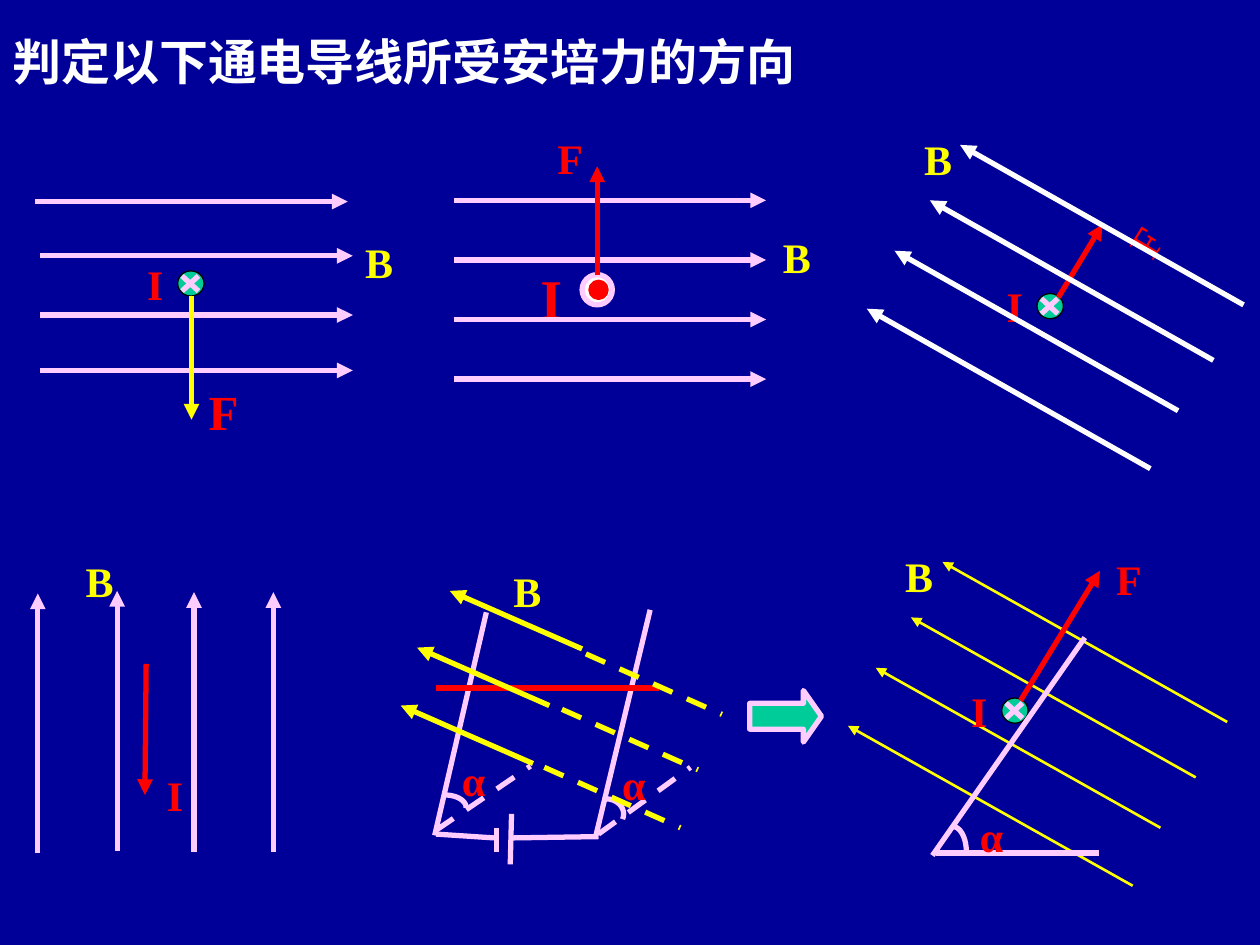
from dataclasses import dataclass
from math import cos, radians, sin

from lxml.etree import SubElement
from pptx import Presentation
from pptx.dml.color import RGBColor as RGB
from pptx.enum.dml import MSO_LINE
from pptx.enum.shapes import MSO_CONNECTOR, MSO_SHAPE as SHAPE
from pptx.enum.text import MSO_AUTO_SIZE as AUTO, PP_ALIGN as ALIGN
from pptx.oxml.ns import qn
from pptx.util import Cm, Pt


@dataclass(frozen=True)
class Theme:
    navy: str = "000099"
    white: str = "FFFFFF"
    black: str = "000000"
    pink: str = "FFCCFF"
    red: str = "FF0000"
    yellow: str = "FFFF00"
    green: str = "00CC99"
    font: str = "Times New Roman"
    label: int = 24
    large: int = 28
    huge: int = 32
    bold_line: float = 3
    fine_line: float = 1.5
    hairline: float = 0.75


THEME = Theme()
MODULE = 2.54  # the drawing grid, in centimetres


def grid(units):
    return Cm(units * MODULE)


def apply(target, values):
    for name, value in values.items():
        setattr(target, name, value)


class Diagram:
    def __init__(self, slide, theme):
        self.slide = slide
        self.shapes = slide.shapes
        self.theme = theme
        background = slide.background.fill
        background.solid()
        background.fore_color.rgb = RGB.from_string(theme.navy)

    def stroke(self, item, color, width):
        item.line.color.rgb = RGB.from_string(color)
        item.line.width = Pt(width)

    def line(self, start, end, color=None, width=None, arrow=False, dashed=False):
        ends = [grid(value) for value in (*start, *end)]
        rule = self.shapes.add_connector(MSO_CONNECTOR.STRAIGHT, *ends)
        self.stroke(rule, color or self.theme.pink, width or self.theme.bold_line)
        if dashed:
            rule.line.dash_style = MSO_LINE.DASH
        properties = rule._element.spPr
        if arrow:
            SubElement(properties.find(qn("a:ln")), qn("a:tailEnd"), type="triangle")
        SubElement(properties, qn("a:effectLst"))

    def field(self, tips, run, color, width=None):
        """Draw parallel arrows that cover the same run and end at the tips."""
        for x, y in tips:
            self.line((x - run[0], y - run[1]), (x, y), color, width, arrow=True)

    def solid(self, kind, box, fill, outline, width):
        shape = self.shapes.add_shape(kind, *map(grid, box))
        shape.shadow.inherit = False
        shape.fill.solid()
        shape.fill.fore_color.rgb = RGB.from_string(fill)
        self.stroke(shape, outline, width)
        return shape

    def text(self, words, box, color, size=None, align=ALIGN.CENTER, rotation=0):
        holder = self.shapes.add_textbox(*map(grid, box))
        holder.rotation = rotation
        apply(holder.text_frame, {"word_wrap": True, "auto_size": AUTO.SHAPE_TO_FIT_TEXT})
        paragraph = holder.text_frame.paragraphs[0]
        paragraph.alignment = align
        run = paragraph.add_run()
        run.text = words
        apply(run.font, {"name": self.theme.font, "bold": True,
                         "size": Pt(size or self.theme.label)})
        run.font.color.rgb = RGB.from_string(color)

    def inward_current(self, x, y):
        """Draw a wire whose current enters the page, centred at x, y."""
        theme = self.theme
        self.solid(SHAPE.OVAL, (x - 0.1, y - 0.1, 0.21, 0.2),
                   theme.green, theme.black, theme.hairline)
        for side in (1, -1):
            self.line((x + 0.065 * side, y - 0.06), (x - 0.065 * side, y + 0.06))
        self.text("I", (x - 0.44, y - 0.25, 0.51, 0.5), theme.red, align=ALIGN.LEFT)

    def angle_arc(self, center, radii, sweep=90):
        """Draw an arc that runs clockwise from the top of an ellipse."""
        turns = [radians(sweep * step / 16) for step in range(17)]
        points = [(grid(center[0] + radii[0] * sin(turn)),
                   grid(center[1] - radii[1] * cos(turn))) for turn in turns]
        builder = self.shapes.build_freeform(*points[0])
        builder.add_line_segments(points[1:], close=False)
        arc = builder.convert_to_shape()
        arc.shadow.inherit = False
        arc.fill.background()
        self.stroke(arc, self.theme.pink, self.theme.bold_line)


def draw_downward_force(d, t):
    d.inward_current(1.51, 2.25)
    d.field([(2.76, 1.6), (2.8, 2.03), (2.8, 2.5), (2.8, 2.94)], (2.48, 0), t.pink)
    d.text("B", (2.8, 1.83, 0.59, 0.5), t.yellow, align=ALIGN.LEFT)
    d.line((1.52, 2.35), (1.52, 3.33), t.yellow, arrow=True)
    d.text("F", (1.44, 2.98, 0.67, 0.57), t.red, t.large)


def draw_upward_force(d, t):
    d.solid(SHAPE.OVAL, (4.62, 2.18, 0.24, 0.24), t.white, t.pink, t.bold_line)
    d.solid(SHAPE.OVAL, (4.69, 2.24, 0.12, 0.12), t.red, t.red, t.bold_line)
    d.text("I", (4.02, 2.04, 0.71, 0.64), t.red, t.huge)
    d.field([(6.08, 1.59 + 0.473 * row) for row in range(4)], (2.48, 0), t.pink)
    d.text("B", (5.92, 1.79, 0.81, 0.5), t.yellow)
    d.line((4.74, 2.18), (4.74, 1.32), t.red, arrow=True)
    d.text("F", (4.31, 1, 0.43, 0.5), t.red)


def draw_slanted_field(d, t):
    d.inward_current(8.33, 2.43)
    d.line((8.4, 2.36), (8.75, 1.78), t.red, arrow=True)
    d.text("F", (8.81, 1.67, 0.56, 0.5), t.red, rotation=301.4)
    d.field([(7.62, 1.15), (7.38, 1.59), (7.1, 1.99), (6.88, 2.45)],
            (-2.25, -1.27), t.white)
    d.text("B", (7.19, 1.01, 0.51, 0.5), t.yellow)


def draw_parallel_current(d, t):
    d.field([(0.3, 4.71), (0.93, 4.69), (1.54, 4.7), (2.17, 4.7)], (0, -2.06), t.pink)
    d.text("B", (0.3, 4.36, 0.98, 0.5), t.yellow)
    d.line((1.16, 5.27), (1.15, 6.31), t.red, arrow=True)
    d.text("I", (1.12, 6.06, 0.54, 0.5), t.red)


def draw_inclined_rails(d, t):
    rails = [((3.86, 4.86), (3.45, 6.63)), ((4.73, 6.63), (5.16, 4.84))]
    circuit = [((3.46, 6.62), (3.92, 6.65)), ((4.07, 6.65), (4.75, 6.64)),
               ((3.94, 6.57), (3.94, 6.76)), ((4.06, 6.46), (4.05, 6.86))]
    for start, end in rails + circuit:
        d.line(start, end)
    for start, end in [((3.46, 6.59), (4.21, 6.08)), ((4.75, 6.62), (5.48, 6.09))]:
        d.line(start, end, dashed=True)
    d.angle_arc((4.81, 6.46), (0.14, 0.12), sweep=110)
    d.angle_arc((3.53, 6.41), (0.17, 0.1))
    for left, top in [(4.75, 5.97), (3.48, 5.94)]:
        d.text("α", (left, top, 0.56, 0.5), t.red)
    d.line((3.46, 5.46), (5.23, 5.46), t.red)
    d.field([(3.31, 5.14), (3.18, 5.6), (3.57, 4.69)], (-1.05, -0.46), t.yellow)
    for x, y in [(4.46, 5.63), (4.32, 6.09), (4.65, 5.19)]:
        d.line((x, y), (x + 1.08, y + 0.48), t.yellow, dashed=True)
    d.text("B", (3.93, 4.44, 0.51, 0.5), t.yellow)


def draw_side_view(d, t):
    d.field([(7.48, 4.46), (7.23, 4.9), (6.95, 5.3), (6.73, 5.76)],
            (-2.26, -1.27), t.yellow, t.fine_line)
    d.text("B", (7.04, 4.32, 0.51, 0.5), t.yellow)
    d.inward_current(8.05, 5.64)
    d.line((8.1, 5.56), (8.73, 4.53), t.red, arrow=True)
    d.text("F", (8.66, 4.34, 0.6, 0.5), t.red)
    d.line((8.61, 5.06), (7.4, 6.79))
    d.line((7.43, 6.77), (8.72, 6.77))
    d.angle_arc((7.56, 6.76), (0.11, 0.2))
    d.text("α", (7.45, 6.38, 0.84, 0.5), t.red)


def main():
    deck = Presentation()
    apply(deck, {"slide_width": Cm(25.4), "slide_height": Cm(19.05)})
    diagram = Diagram(deck.slides.add_slide(deck.slide_layouts[6]), THEME)
    for draw in (draw_downward_force, draw_upward_force, draw_slanted_field,
                 draw_parallel_current, draw_inclined_rails, draw_side_view):
        draw(diagram, THEME)
    view_change = diagram.solid(SHAPE.RIGHT_ARROW, (5.95, 5.48, 0.57, 0.41),
                                THEME.green, THEME.pink, THEME.bold_line)
    view_change.adjustments[1] = 0.35
    diagram.text("判定以下通电导线所受安培力的方向", (0, 0.2, 7.73, 0.57),
                 THEME.white, THEME.large, ALIGN.LEFT)
    deck.save("out.pptx")


if __name__ == "__main__":
    main()
